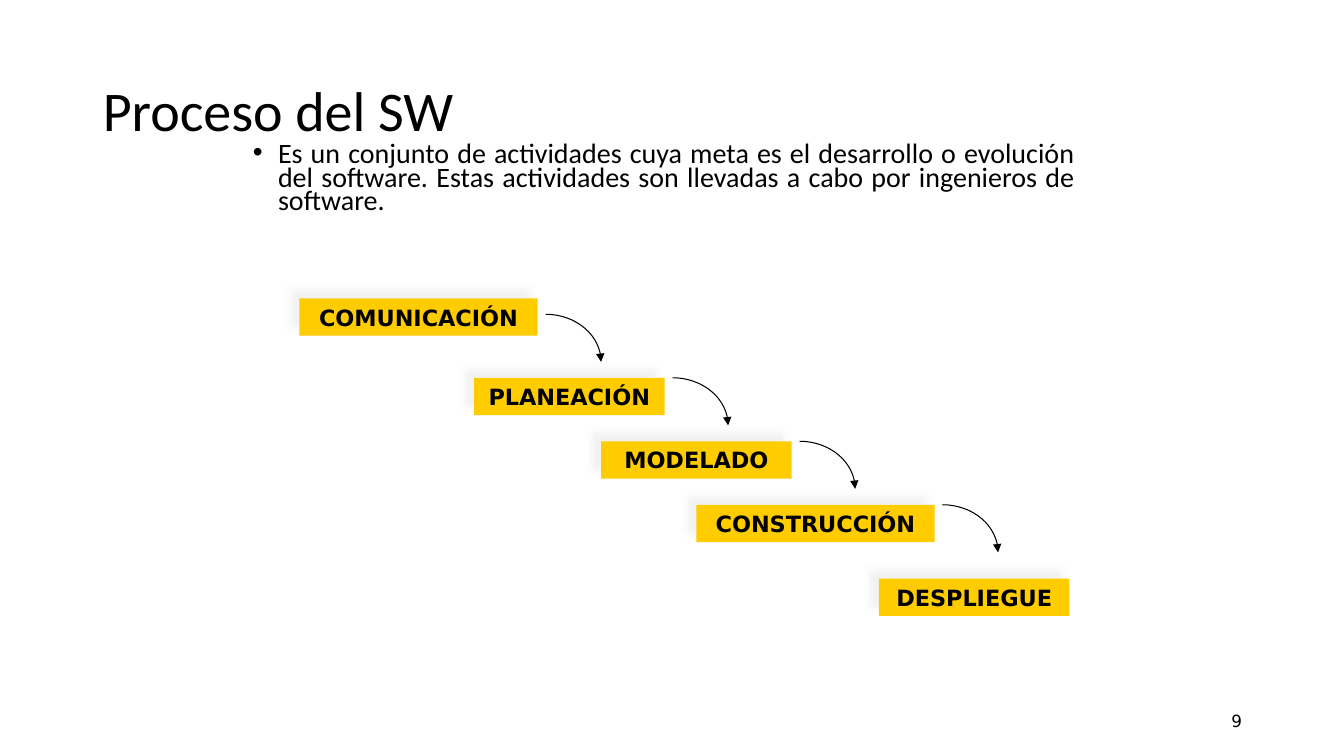
from math import cos, pi, sin

from lxml import etree
from pptx import Presentation
from pptx.dml.color import RGBColor
from pptx.enum.shapes import MSO_SHAPE
from pptx.enum.text import MSO_ANCHOR, PP_ALIGN
from pptx.oxml.ns import qn
from pptx.util import Inches, Mm, Pt

RECT = MSO_SHAPE.RECTANGLE
TOP, MIDDLE = MSO_ANCHOR.TOP, MSO_ANCHOR.MIDDLE
LEFT, CENTER, RIGHT, FULL = PP_ALIGN.LEFT, PP_ALIGN.CENTER, PP_ALIGN.RIGHT, PP_ALIGN.JUSTIFY

COLORS = {"ink": "000000", "step": "FFCC00", "shade": "E7E6E6", "back": "FFFFFF"}
HEAD, BODY = "Calibri", "DejaVu Sans"
CELL = Mm(4)
ORIGIN = (18.86, 18.8)
STEPS = [
    ("COMUNICACIÓN", 0, 0, 15),
    ("PLANEACIÓN", 11, 5, 12),
    ("MODELADO", 19, 9, 12),
    ("CONSTRUCCIÓN", 25, 13, 15),
    ("DESPLIEGUE", 36.5, 17.65, 12),
]
DROPS = [1, 0, 0, 0]


def grid(*cells):
    return [round(n * CELL) for n in cells]


def color(name):
    return RGBColor.from_string(COLORS[name])


def add_node(parent, tag, **attrs):
    return etree.SubElement(parent, qn(tag), {k: str(v) for k, v in attrs.items()})


def write(shape, text, size, font=BODY, bold=False, align=LEFT, anchor=MIDDLE,
          space=None, bullet=False, wrap=True):
    frame = shape.text_frame
    frame.word_wrap = wrap
    frame.vertical_anchor = anchor
    para = frame.paragraphs[0]
    para.alignment = align
    para.space_before = Pt(0)
    if space:
        para.line_spacing = space
    if bullet:
        props = para._p.get_or_add_pPr()
        props.set("marL", str(Inches(0.25)))
        props.set("indent", str(-Inches(0.25)))
        add_node(props, "a:buFont", typeface="Arial")
        add_node(props, "a:buChar", char="•")
    run = para.add_run()
    run.text = text
    run.font.size = Pt(size)
    run.font.name = font
    run.font.bold = bold
    run.font.color.rgb = color("ink")


def add_title(slide, text):
    title = slide.shapes.title
    title.left, title.top, title.width, title.height = grid(5.84, 2.54, 73.03, 9.21)
    write(title, text, 40, font=HEAD, space=0.9)


def add_text(slide, place, text, size, **style):
    write(slide.shapes.add_textbox(*grid(*place)), text, size, **style)


def add_shade(shape):
    shape.shadow.inherit = False
    effects = shape._element.spPr.find(qn("a:effectLst"))
    shade = add_node(effects, "a:outerShdw", blurRad=Pt(5), dist=Pt(8.5),
                     dir=225 * 60000, algn="ctr", rotWithShape=0)
    tint = add_node(shade, "a:srgbClr", val=COLORS["shade"])
    add_node(tint, "a:alpha", val=50000)


def add_step(slide, text, col, row, width):
    step = slide.shapes.add_shape(RECT, *grid(col, row, width, 2.35))
    step.fill.solid()
    step.fill.fore_color.rgb = color("step")
    step.line.fill.background()
    add_shade(step)
    write(step, text, 16, bold=True, align=CENTER, wrap=False)


def add_arc(slide, col, row, width=3.5, height=3, parts=16):
    turns = [pi / 2 * i / parts for i in range(parts + 1)]
    points = [grid(col + width * sin(t), row + height * (1 - cos(t))) for t in turns]
    pen = slide.shapes.build_freeform(*points[0])
    pen.add_line_segments(points[1:], close=False)
    arc = pen.convert_to_shape()
    arc.fill.background()
    arc.line.color.rgb = color("ink")
    arc.line.width = Pt(0.75)
    arc.shadow.inherit = False
    add_node(arc.line._get_or_add_ln(), "a:tailEnd", type="triangle")


def main():
    deck = Presentation()
    deck.slide_width, deck.slide_height = Inches(13.33), Inches(7.5)
    slide = deck.slides.add_slide(deck.slide_layouts[5])
    slide.background.fill.solid()
    slide.background.fill.fore_color.rgb = color("back")

    add_title(slide, "Proceso del SW")
    add_text(slide, (15.3, 8.83, 53.02, 5.33),
             "Es un conjunto de actividades cuya meta es el desarrollo o evolución "
             "del software. Estas actividades son llevadas a cabo por ingenieros de software.",
             20, font=HEAD, align=FULL, anchor=TOP, space=0.7, bullet=True)

    left, top = ORIGIN
    for text, col, row, width in STEPS:
        add_step(slide, text, left + col, top + row, width)
    for (_, col, row, width), drop in zip(STEPS, DROPS):
        add_arc(slide, left + col + width + 0.5, top + row + drop)

    add_text(slide, (59.8, 44.13, 19.05, 2.54), "9", 12, align=RIGHT)
    deck.save("out.pptx")


if __name__ == "__main__":
    main()
